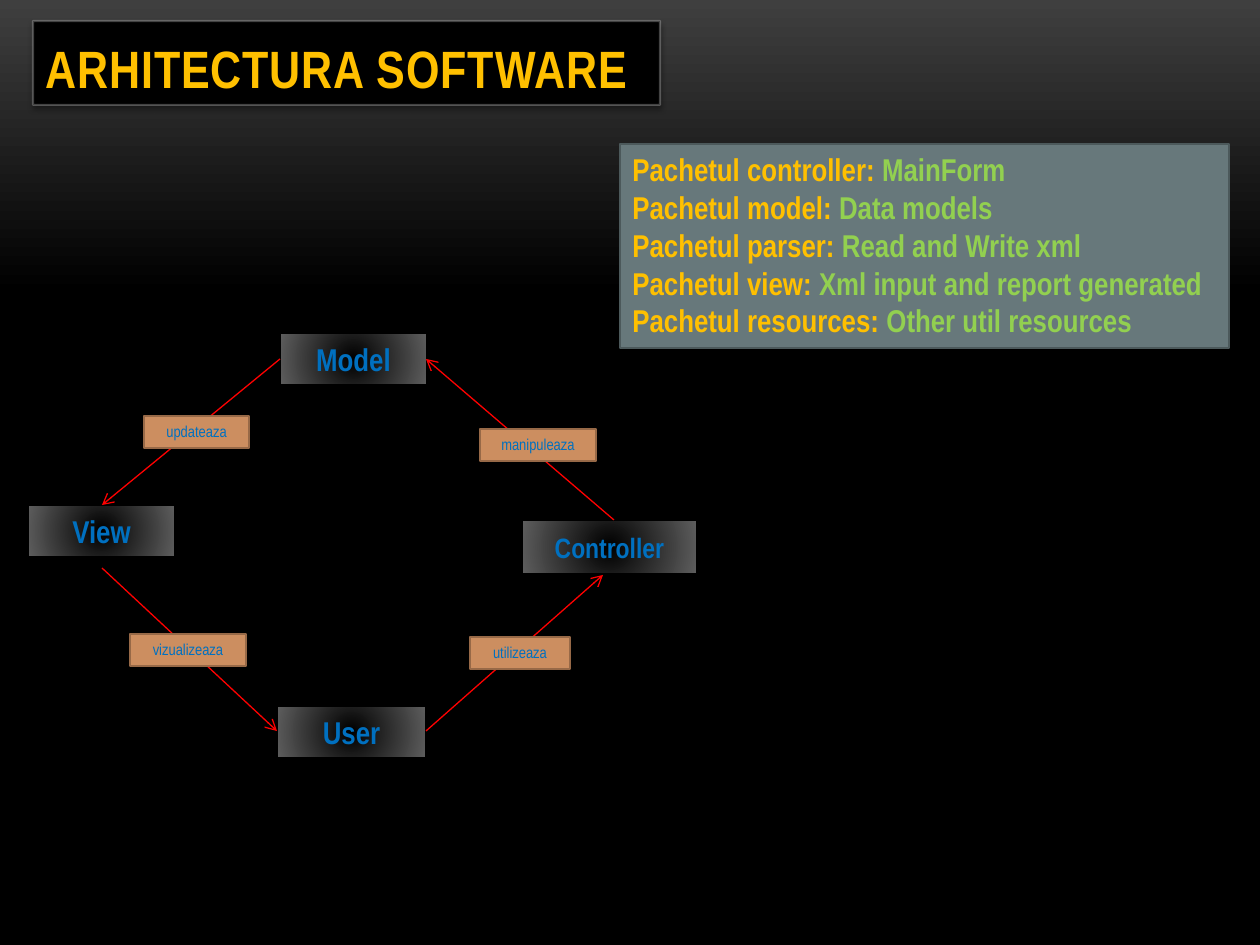
import pptx
import pptx.util
import pptx.oxml
import pptx.oxml.ns
import pptx.dml.color
import pptx.enum.shapes
import pptx.enum.text

TITLE = ("ARHITECTURA SOFTWARE", (33, 21, 627, 84))
NODES = [  # text, box, type size
    ("Model", (280, 333, 147, 52), "node"),
    ("View", (28, 505, 147, 52), "node"),
    ("Controller", (522, 520, 175, 54), "small"),
    ("User", (277, 706, 149, 52), "node"),
]
ARROWS = [
    ((614, 520), (426, 359)),
    ((280, 359), (102, 505)),
    ((102, 568), (277, 731)),
    ((426, 731), (603, 575)),
]
LABELS = [
    ("manipuleaza", (480, 429, 116, 32)),
    ("updateaza", (144, 416, 105, 32)),
    ("utilizeaza", (470, 637, 100, 32)),
    ("vizualizeaza", (130, 634, 116, 32)),
]
PACKS = [
    ("controller", "MainForm"),
    ("model", "Data models"),
    ("parser", "Read and Write xml"),
    ("view", "Xml input and report generated"),
    ("resources", "Other util resources"),
]
PACK_BOX = (620, 144, 609, 204)
THEME = {
    "font": "Arial Narrow",
    "size": {"title": 30, "node": 18, "small": 16, "label": 9, "pack": 18},
    "gold": "FFC000", "green": "92D050", "blue": "0070C0",
    "black": "000000", "white": "FFFFFF", "arrow": "FF0000",
    "label": "CC8E60", "label_edge": "976947",
    "pack": "67787B", "pack_edge": "4C595B",
    "back": [(0, "3F3F3F"), (31, "000000"), (100, "000000")],
    "glow": [(0, "000000"), (100, "5E5E5E")],
}
LINEAR = '<a:lin ang="5400000" scaled="0"/>'
ROUND = ('<a:path path="circle"><a:fillToRect l="50000" t="50000" '
         'r="50000" b="50000"/></a:path>')
SCALE = 914400 / 126
ALIGN = pptx.enum.text.PP_ALIGN
ANCHOR = pptx.enum.text.MSO_ANCHOR
RECT = pptx.enum.shapes.MSO_SHAPE.RECTANGLE


def emu(*pixels):
    """Turn pixels into a list of EMU lengths."""
    return [pptx.util.Emu(round(p * SCALE)) for p in pixels]


def rgb(name):
    """Give the colour of a theme name."""
    return pptx.dml.color.RGBColor.from_string(THEME[name])


def node(tag, body="", attrs=""):
    """Make one DrawingML element."""
    space = pptx.oxml.ns.nsdecls("a")
    return pptx.oxml.parse_xml(f"<a:{tag} {space} {attrs}>{body}</a:{tag}>")


def shade(owner, stops, course):
    """Put stops and course into the gradient fill of an element."""
    owner.fill.gradient()
    old = next(owner_root(owner).iter(pptx.oxml.ns.qn("a:gradFill")))
    marks = "".join(f'<a:gs pos="{pos * 1000}"><a:srgbClr val="{hue}"/></a:gs>'
                    for pos, hue in stops)
    new = node("gradFill", f"<a:gsLst>{marks}</a:gsLst>{course}",
               'rotWithShape="1"')
    old.getparent().replace(old, new)


def owner_root(owner):
    """Give the element that holds the fill of a shape or the slide."""
    return owner.element if hasattr(owner, "element") else slide.element


def shadow(shape, blur, dist):
    """Add a soft black shadow below a shape, in points."""
    body = (f'<a:outerShdw blurRad="{round(blur * 12700)}" '
            f'dist="{round(dist * 12700)}" dir="5400000" rotWithShape="0">'
            '<a:srgbClr val="000000"><a:alpha val="40000"/></a:srgbClr>'
            '</a:outerShdw>')
    for old in shape.element.spPr.findall(pptx.oxml.ns.qn("a:effectLst")):
        shape.element.spPr.remove(old)
    shape.element.spPr.append(node("effectLst", body))


def edge(shape, hue, width):
    """Set the line of a shape."""
    shape.line.color.rgb = rgb(hue)
    shape.line.width = pptx.util.Pt(width)


def paint(shape, hue):
    """Fill a shape with one colour."""
    shape.fill.solid()
    shape.fill.fore_color.rgb = rgb(hue)


def style(run, size, hue, bold=True):
    """Set the font of a run."""
    run.font.name = THEME["font"]
    run.font.size = pptx.util.Pt(THEME["size"][size])
    run.font.bold = bold
    run.font.color.rgb = rgb(hue)


def add_box(box, anchor):
    """Add a plain rectangle that wraps its text."""
    shape = slide.shapes.add_shape(RECT, *emu(*box))
    shape.shadow.inherit = False
    shape.text_frame.word_wrap = True
    shape.text_frame.vertical_anchor = anchor
    return shape


def write(shape, text, size, hue, bold, align):
    """Write one styled paragraph into a shape."""
    shape.text_frame.text = text
    para = shape.text_frame.paragraphs[0]
    para.alignment = align
    style(para.runs[0], size, hue, bold)
    return para.runs[0]


def add_title(text, box):
    """Place and format the title."""
    shape = slide.shapes.title
    shape.left, shape.top, shape.width, shape.height = emu(*box)
    paint(shape, "black")
    edge(shape, "white", 1.2)
    tint = next(shape.line.fill.fore_color.rgb and
                shape.element.spPr.ln.iter(pptx.oxml.ns.qn("a:srgbClr")))
    tint.append(node("alpha", attrs='val="25000"'))
    shadow(shape, 3, 2)
    frame = shape.text_frame
    frame.auto_size = pptx.enum.text.MSO_AUTO_SIZE.NONE
    frame.vertical_anchor = ANCHOR.BOTTOM
    run = write(shape, text, "title", "gold", True, ALIGN.LEFT)
    run.font._element.set("spc", "50")


def add_node(text, box, size):
    """Add one part of the pattern."""
    shape = add_box(box, ANCHOR.MIDDLE)
    shade(shape, THEME["glow"], ROUND)
    edge(shape, "black", 0.75)
    shadow(shape, 4, 3.4)
    write(shape, text, size, "blue", True, ALIGN.CENTER)


def add_arrow(start, end):
    """Add a thin arrow."""
    kind = pptx.enum.shapes.MSO_CONNECTOR.STRAIGHT
    line = slide.shapes.add_connector(kind, *emu(*start, *end))
    edge(line, "arrow", 0.75)
    line.line._get_or_add_ln().append(node("tailEnd", attrs='type="arrow"'))
    line.element.spPr.append(node("effectLst"))


def add_label(text, box):
    """Add the label of an arrow."""
    shape = add_box(box, ANCHOR.TOP)
    paint(shape, "label")
    edge(shape, "label_edge", 0.85)
    write(shape, text, "label", "blue", False, ALIGN.CENTER)


def add_packs(packs, box):
    """Add the list of packages."""
    shape = add_box(box, ANCHOR.TOP)
    paint(shape, "pack")
    edge(shape, "pack_edge", 0.85)
    frame = shape.text_frame
    for i, (name, use) in enumerate(packs):
        para = frame.add_paragraph() if i else frame.paragraphs[0]
        para.alignment = ALIGN.JUSTIFY
        for text, hue in ((f"Pachetul {name}: ", "gold"), (use, "green")):
            run = para.add_run()
            run.text = text
            style(run, "pack", hue)


deck = pptx.Presentation()
deck.slide_width, deck.slide_height = emu(1260, 945)
slide = deck.slides.add_slide(deck.slide_layouts[5])
shade(slide.background, THEME["back"], LINEAR)
add_title(*TITLE)
for part in NODES:
    add_node(*part)
for ends in ARROWS:
    add_arrow(*ends)
for label in LABELS:
    add_label(*label)
add_packs(PACKS, PACK_BOX)
deck.save("out.pptx")
